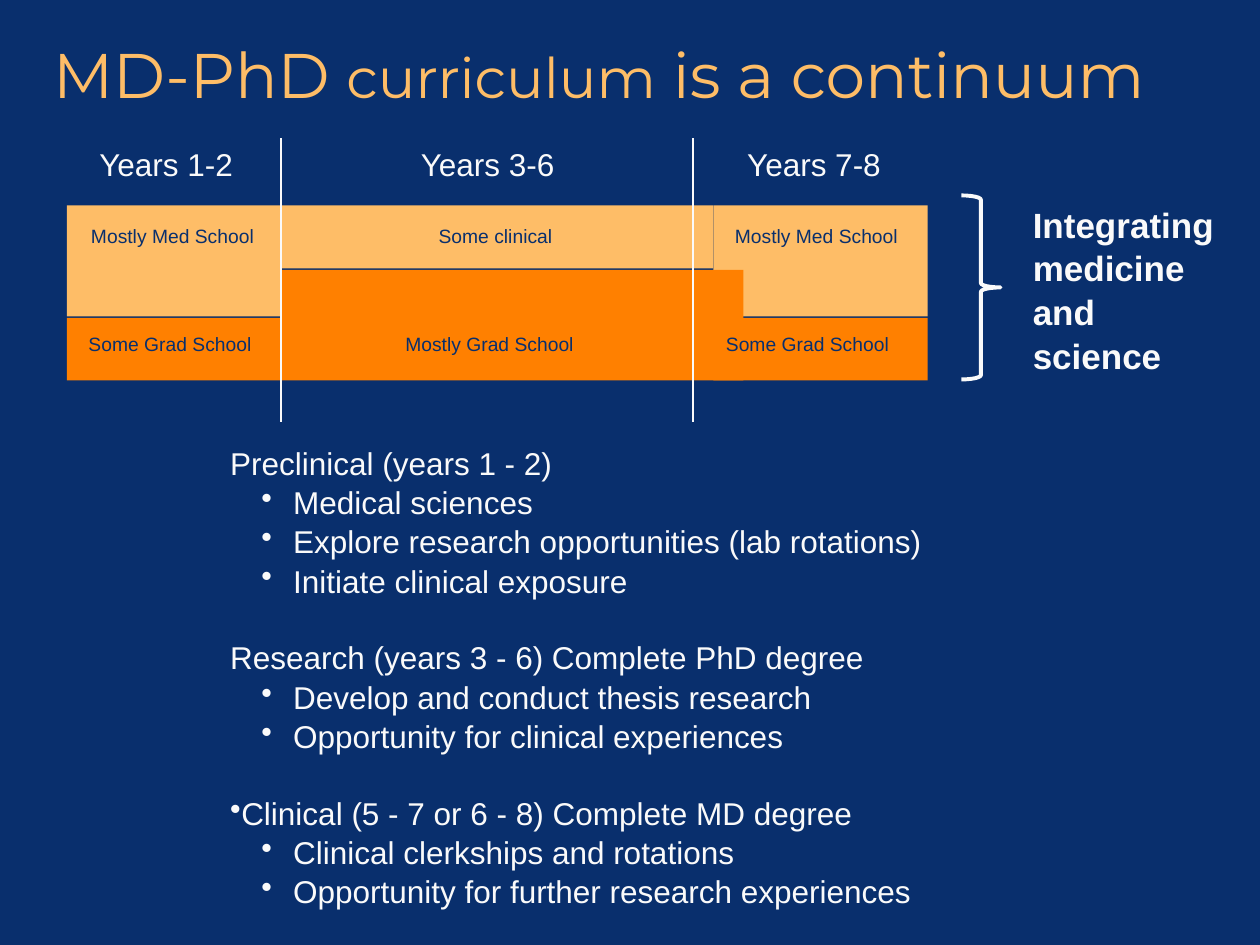
from dataclasses import dataclass

from lxml import etree
from pptx import Presentation
from pptx.dml.color import RGBColor
from pptx.enum.shapes import MSO_CONNECTOR, MSO_SHAPE
from pptx.enum.text import MSO_ANCHOR, PP_ALIGN
from pptx.oxml.ns import qn
from pptx.util import Cm, Pt

LEFT, CENTER = PP_ALIGN.LEFT, PP_ALIGN.CENTER
TOP, BOTTOM = MSO_ANCHOR.TOP, MSO_ANCHOR.BOTTOM
RECT, BRACE = MSO_SHAPE.RECTANGLE, MSO_SHAPE.RIGHT_BRACE
STRAIGHT = MSO_CONNECTOR.STRAIGHT
TITLE_ONLY = 5


@dataclass(frozen=True)
class Theme:
    navy: RGBColor = RGBColor.from_string("092F6D")
    white: RGBColor = RGBColor.from_string("FAFAFA")
    med: RGBColor = RGBColor.from_string("FEBD67")
    grad: RGBColor = RGBColor.from_string("FF8000")
    head_font: str = "Montserrat"
    body_font: str = "Arial"
    title: int = 36
    title_small: int = 32
    callout: int = 20
    body: int = 18
    label: int = 11
    spacing: float = 1.04
    section_gap: float = 21.5


T = Theme()

TITLE = [("MD-PhD ", T.title), ("curriculum", T.title_small),
         (" is a continuum", T.title)]

# Each phase: left, width, med height, (heading, med, grad) labels and centres
PHASES = [
    (0, 4.32, 2.24, [("Years 1-2", 2.0), ("Mostly Med School", 2.13),
                     ("Some Grad School", 2.08)]),
    (13.03, 4.32, 2.24, [("Years 7-8", 15.06), ("Mostly Med School", 15.11),
                         ("Some Grad School", 14.93)]),
    (4.32, 8.71, 1.27, [("Years 3-6", 8.48), ("Some clinical", 8.64),
                        ("Mostly Grad School", 8.52)]),
]

SECTIONS = [
    ("Preclinical (years 1 - 2)", False,
     ["Medical sciences", "Explore research opportunities (lab rotations)",
      "Initiate clinical exposure"]),
    ("Research (years 3 - 6) Complete PhD degree", False,
     ["Develop and conduct thesis research",
      "Opportunity for clinical experiences"]),
    ("Clinical (5 - 7 or 6 - 8) Complete MD degree", True,
     ["Clinical clerkships and rotations",
      "Opportunity for further research experiences"]),
]


def add_run(p, text, size=T.body, color=T.white, font=T.body_font, bold=False):
    r = p.add_run()
    r.text = text
    r.font.size, r.font.name, r.font.bold = Pt(size), font, bold
    r.font.color.rgb = color


def add_text(slide, text, x, y, w, h, align=LEFT, **fmt):
    tf = slide.shapes.add_textbox(Cm(x), Cm(y), Cm(w), Cm(h)).text_frame
    tf.word_wrap, tf.vertical_anchor = True, TOP
    p = tf.paragraphs[0]
    p.alignment, p.line_spacing = align, T.spacing
    if text:
        add_run(p, text, **fmt)
    return tf


def add_band(slide, x, y, w, h, color):
    sp = slide.shapes.add_shape(RECT, Cm(x), Cm(y), Cm(w), Cm(h))
    sp.shadow.inherit = False
    sp.fill.solid()
    sp.fill.fore_color.rgb = color
    sp.line.fill.background()


def add_divider(slide, x, y, h):
    ln = slide.shapes.add_connector(STRAIGHT, Cm(x), Cm(y), Cm(x), Cm(y + h))
    ln.line.color.rgb, ln.line.width = T.white, Pt(1)
    etree.SubElement(ln._element.spPr, qn("a:effectLst"))


def set_bullet(p, margin=0, hang=0):
    pPr = p._p.get_or_add_pPr()
    pPr.set("marL", str(Cm(margin)))
    pPr.set("indent", str(-Cm(hang)))
    etree.SubElement(pPr, qn("a:buChar")).set("char", "•")


def build_title(slide, x, y, w, h):
    sp = slide.shapes.title
    sp.left, sp.top, sp.width, sp.height = Cm(x), Cm(y), Cm(w), Cm(h)
    tf = sp.text_frame
    tf.margin_left = tf.margin_top = tf.margin_right = tf.margin_bottom = 0
    tf.vertical_anchor = BOTTOM
    p = tf.paragraphs[0]
    p.alignment, p.line_spacing = LEFT, 0.85
    for text, size in TITLE:
        add_run(p, text, size=size, color=T.med, font=T.head_font)


def build_timeline(slide, x, y, h):
    bands_top, bands_h, gap, label_w, overlap = y + 1.35, 3.53, 0.03, 4.62, 0.61
    for left, w, med_h, labels in PHASES:
        grad_top = bands_top + med_h + gap
        grad_w = w + overlap if med_h < bands_h / 2 else w
        add_band(slide, x + left, bands_top, w, med_h, T.med)
        add_band(slide, x + left, grad_top, grad_w,
                 bands_top + bands_h - grad_top, T.grad)
    rows = [(y - 0.02, T.body, T.white), (y + 1.58, T.label, T.navy),
            (y + 3.76, T.label, T.navy)]
    for *_, labels in PHASES:
        for (text, center), (top, size, color) in zip(labels, rows):
            add_text(slide, text, x + center - label_w / 2, top, label_w, 0.9,
                     align=CENTER, size=size, color=color)
    for left in (4.32, 12.62):
        add_divider(slide, x + left, y, h)


def build_callout(slide, x, y, w, h):
    brace_w, text_left = 0.79, 1.19
    sp = slide.shapes.add_shape(BRACE, Cm(x), Cm(y), Cm(brace_w), Cm(h))
    sp.shadow.inherit = False
    sp.fill.background()
    sp.line.color.rgb, sp.line.width = T.white, Pt(2.25)
    sp.adjustments[0], sp.adjustments[1] = 0.11, 0.5
    add_text(slide, "Integrating medicine and science", x + text_left, y,
             w - text_left, h, size=T.callout, bold=True)


def build_outline(slide, x, y, w, h):
    tf = add_text(slide, "", x, y, w, h)
    for i, (head, bulleted, items) in enumerate(SECTIONS):
        p = tf.add_paragraph() if i else tf.paragraphs[0]
        p.line_spacing = T.spacing
        p.space_before = Pt(T.section_gap if i else 0)
        if bulleted:
            set_bullet(p)
        add_run(p, head)
        for item in items:
            p = tf.add_paragraph()
            p.level, p.line_spacing = 1, T.spacing
            set_bullet(p, margin=1.27, hang=0.64)
            add_run(p, item)


def main():
    prs = Presentation()
    prs.slide_width, prs.slide_height = Cm(25.4), Cm(19.05)
    slide = prs.slides.add_slide(prs.slide_layouts[TITLE_ONLY])
    slide.background.fill.solid()
    slide.background.fill.fore_color.rgb = T.navy
    build_title(slide, 1.07, 0.51, 23.29, 1.73)
    build_timeline(slide, 1.35, 2.79, 5.72)
    build_callout(slide, 19.38, 3.94, 5.39, 3.71)
    build_outline(slide, 4.39, 8.79, 14.66, 9.4)
    prs.save("out.pptx")


if __name__ == "__main__":
    main()
